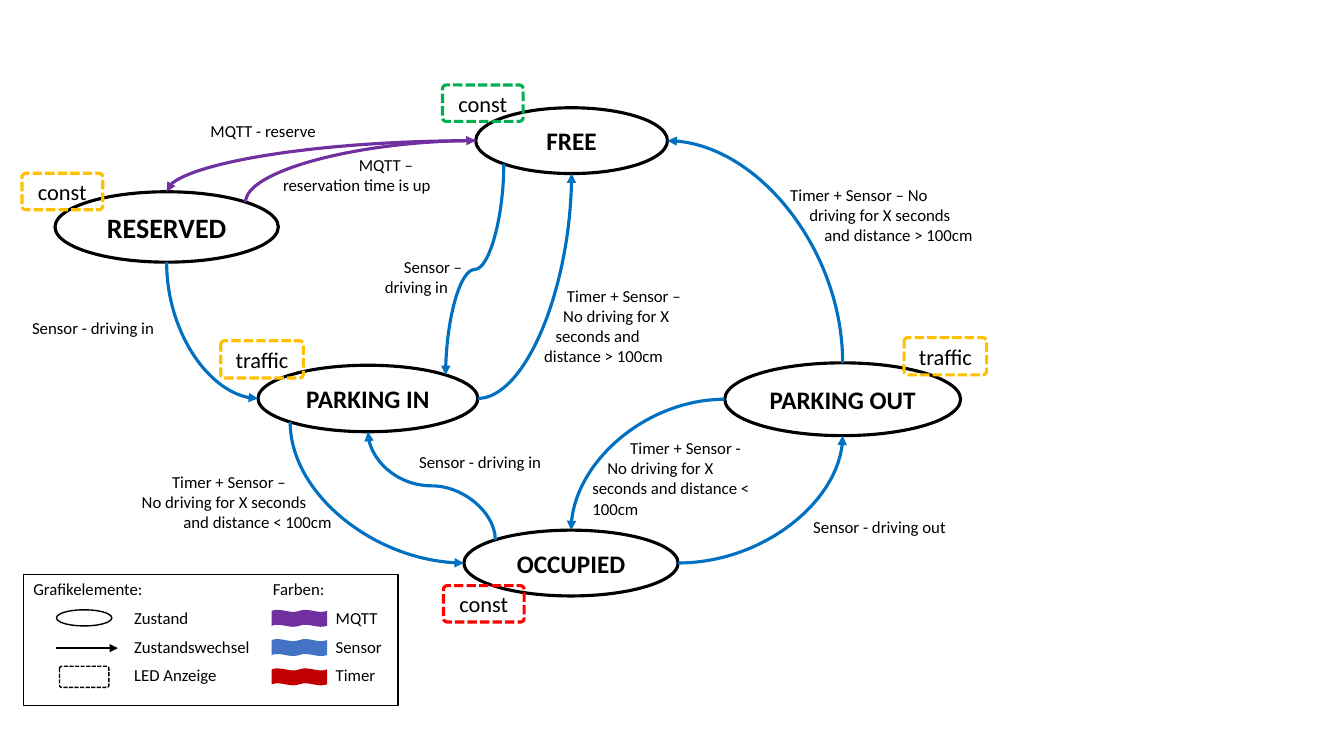
import math

import lxml.etree
import pptx
import pptx.dml.color
import pptx.enum.dml
import pptx.enum.shapes
import pptx.enum.text
import pptx.oxml.ns
import pptx.util

Pt = pptx.util.Pt
qn = pptx.oxml.ns.qn
SHAPES = pptx.enum.shapes.MSO_SHAPE
CONNECTORS = pptx.enum.shapes.MSO_CONNECTOR
FONT = "Calibri"
COLORS = {
    "black": "000000", "mqtt": "7030A0", "sensor": "0070C0",
    "legend sensor": "4472C4", "timer": "C00000",
    "yellow": "FFC000", "green": "00B050", "red": "FF0000",
}
DIAGONAL = math.sqrt(0.5)
SIDES = {
    "n": (0, -1), "s": (0, 1), "w": (-1, 0), "e": (1, 0),
    "ne": (DIAGONAL, -DIAGONAL), "nw": (-DIAGONAL, -DIAGONAL),
    "sw": (-DIAGONAL, DIAGONAL),
}
STATES = {
    "FREE": (339.8, 77, 137, 47, 18),
    "OCCUPIED": (331.4, 378.7, 153, 47, 18),
    "PARKING IN": (184.3, 260.9, 157, 47.5, 18),
    "PARKING OUT": (517.7, 259.2, 168.5, 52, 18),
    "RESERVED": (39.3, 137, 159.5, 50.3, 20),
}
TRANSITIONS = [
    ("FREE", "w", "RESERVED", "n", "mqtt"),
    ("RESERVED", "ne", "FREE", "w", "mqtt"),
    ("RESERVED", "s", "PARKING IN", "w", "sensor"),
    ("FREE", "sw", "PARKING IN", "ne", "sensor"),
    ("OCCUPIED", "e", "PARKING OUT", "s", "sensor"),
    ("OCCUPIED", "nw", "PARKING IN", "s", "sensor"),
    ("PARKING IN", "sw", "OCCUPIED", "w", "sensor"),
    ("PARKING IN", "e", "FREE", "s", "sensor"),
    ("PARKING OUT", "n", "FREE", "e", "sensor"),
    ("PARKING OUT", "w", "OCCUPIED", "n", "sensor"),
]
CONDITIONS = [
    ((143.3, 82.8, 170.6, 21.6), [(0, "MQTT - reserve")]),
    ((195.1, 107, 127.4, 36), [(54.2, "MQTT –"), (0, "reservation time is up")]),
    ((15.8, 223.2, 128.9, 21.6), [(0, "Sensor - driving in")]),
    ((573.8, 365.8, 118, 21.6), [(0, "Sensor - driving out")]),
    ((381.6, 200.2, 115.9, 65.5), [
        (16.3, "Timer + Sensor –"), (13.6, "No driving for X"),
        (8.1, "seconds and distance > 100cm")]),
    ((267.8, 179.7, 101.5, 36.7), [(13.6, "Sensor –"), (0, "driving in")]),
    ((292.3, 319, 103.7, 21.6), [(0, "Sensor - driving in")]),
    ((416, 309.2, 139, 65.5), [
        (27.1, "Timer + Sensor -"),
        (10.8, "No driving for X seconds and distance < 100cm")]),
    ((94.1, 333.4, 167, 51.1), [
        (21.7, "Timer + Sensor –"), (0, "No driving for X seconds"),
        (29.8, "and distance < 100cm")]),
    ((554.7, 128.2, 149, 51.8), [
        (2.7, "Timer + Sensor – No"), (16.3, "driving for X seconds"),
        (27.1, "and distance > 100cm")]),
]
LED_DISPLAYS = [
    ("const", 15.8, 123.8, "yellow"), ("traffic", 157.7, 243.4, "yellow"),
    ("const", 316.1, 60.7, "green"), ("const", 316.8, 418.3, "red"),
    ("traffic", 645.8, 241.2, "yellow"),
]
LED_SIZES = {"const": (57.6, 26), "traffic": (59, 26.6)}
LEGEND = [
    ("Grafikelemente:\tFarben:", [171.1]),
    ("\tZustand\tMQTT", [72, 216]),
    ("\tZustandswechsel\tSensor", [72, 216]),
    ("\tLED Anzeige\tTimer", [72, 216]),
]


def color(name):
    return pptx.dml.color.RGBColor.from_string(COLORS[name])


def write(paragraph, text, size, bold=False):
    run = paragraph.add_run()
    run.text = text
    run.font.name = FONT
    run.font.size = Pt(size)
    run.font.bold = bold
    run.font.color.rgb = color("black")


def draw_line(line, name, width, dashed=False):
    line.color.rgb = color(name)
    line.width = Pt(width)
    if dashed:
        line.dash_style = pptx.enum.dml.MSO_LINE.SQUARE_DOT


def add_outline(slide, preset, box, line, width, dashed=False):
    outline = slide.shapes.add_shape(preset, *map(Pt, box))
    outline.shadow.inherit = False
    outline.fill.background()
    draw_line(outline.line, line, width, dashed)
    if preset == SHAPES.ROUNDED_RECTANGLE:
        outline.adjustments[0] = 0.1
    return outline


def add_caption(outline, text, size, bold=False):
    frame = outline.text_frame
    frame.margin_left = frame.margin_right = 0
    frame.vertical_anchor = pptx.enum.text.MSO_ANCHOR.MIDDLE
    frame.paragraphs[0].alignment = pptx.enum.text.PP_ALIGN.CENTER
    write(frame.paragraphs[0], text, size, bold)


def add_text_lines(slide, box, count):
    textbox = slide.shapes.add_textbox(*map(Pt, box))
    frame = textbox.text_frame
    frame.word_wrap = True
    frame.auto_size = pptx.enum.text.MSO_AUTO_SIZE.SHAPE_TO_FIT_TEXT
    for _ in range(count - 1):
        frame.add_paragraph()
    return textbox, frame.paragraphs


def add_condition(slide, box, lines):
    _, paragraphs = add_text_lines(slide, box, len(lines))
    for paragraph, (indent, text) in zip(paragraphs, lines):
        properties = paragraph._p.get_or_add_pPr()
        properties.set("marL", "0")
        properties.set("indent", str(Pt(indent)))
        write(paragraph, text, 12)


def add_arrow(slide, kind, start, end, name, width):
    arrow = slide.shapes.add_connector(kind, *map(Pt, (*start, *end)))
    draw_line(arrow.line, name, width)
    properties = arrow._element.spPr
    tip = lxml.etree.SubElement(properties.find(qn("a:ln")), qn("a:tailEnd"))
    tip.set("type", "triangle")
    lxml.etree.SubElement(properties, qn("a:effectLst"))
    return properties


def side_point(state, side):
    left, top, width, height, _ = STATES[state]
    across, down = SIDES[side]
    return left + width / 2 * (1 + across), top + height / 2 * (1 + down)


def add_transition(slide, source, source_side, target, target_side, name):
    start = side_point(source, source_side)
    end = side_point(target, target_side)
    leaves_upright = source_side not in "we"
    enters_upright = target_side not in "we"
    if leaves_upright:
        middle_x, middle_y = (start[0] + end[0]) / 2, (start[1] + end[1]) / 2
        half_x, half_y = (end[1] - start[1]) / 2, (start[0] - end[0]) / 2
        start = middle_x - half_x, middle_y - half_y
        end = middle_x + half_x, middle_y + half_y
    properties = add_arrow(slide, CONNECTORS.CURVE, start, end, name, 2.25)
    if leaves_upright:
        properties.find(qn("a:xfrm")).set("rot", str(90 * 60000))
    if leaves_upright != enters_upright:
        properties.find(qn("a:prstGeom")).set("prst", "curvedConnector2")


def add_legend(slide):
    frame_box, paragraphs = add_text_lines(slide, (16.7, 410.2, 267.5, 93.6), len(LEGEND))
    draw_line(frame_box.line, "black", 1)
    for paragraph, (text, stops) in zip(paragraphs, LEGEND):
        paragraph.space_before = Pt(6)
        tabs = lxml.etree.SubElement(paragraph._p.get_or_add_pPr(), qn("a:tabLst"))
        for stop in stops:
            lxml.etree.SubElement(tabs, qn("a:tab"), pos=str(Pt(stop)), algn="l")
        write(paragraph, text, 12)
    add_outline(slide, SHAPES.OVAL, (40.3, 435.6, 39.6, 11.5), "black", 1)
    add_outline(slide, SHAPES.ROUNDED_RECTANGLE, (42.5, 475.9, 35.3, 15.1), "black", 1, True)
    add_arrow(slide, CONNECTORS.STRAIGHT, (40.3, 463), (84.2, 463), "black", 1)
    for row, name in enumerate(("mqtt", "legend sensor", "timer")):
        swatch = slide.shapes.add_shape(
            SHAPES.DOUBLE_WAVE, Pt(194), Pt(435.6 + 20.9 * row), Pt(39.6), Pt(12.2))
        swatch.shadow.inherit = False
        swatch.fill.solid()
        swatch.fill.fore_color.rgb = color(name)
        swatch.line.fill.background()


def main():
    presentation = pptx.Presentation()
    presentation.slide_width, presentation.slide_height = Pt(960), Pt(540)
    slide = presentation.slides.add_slide(presentation.slide_layouts[6])
    for state, (*box, size) in STATES.items():
        add_caption(add_outline(slide, SHAPES.OVAL, box, "black", 2.25), state, size, True)
    for transition in TRANSITIONS:
        add_transition(slide, *transition)
    for box, lines in CONDITIONS:
        add_condition(slide, box, lines)
    for mode, left, top, name in LED_DISPLAYS:
        box = (left, top, *LED_SIZES[mode])
        display = add_outline(slide, SHAPES.ROUNDED_RECTANGLE, box, name, 2.25, True)
        add_caption(display, mode, 16)
    add_legend(slide)
    presentation.save("out.pptx")


main()
